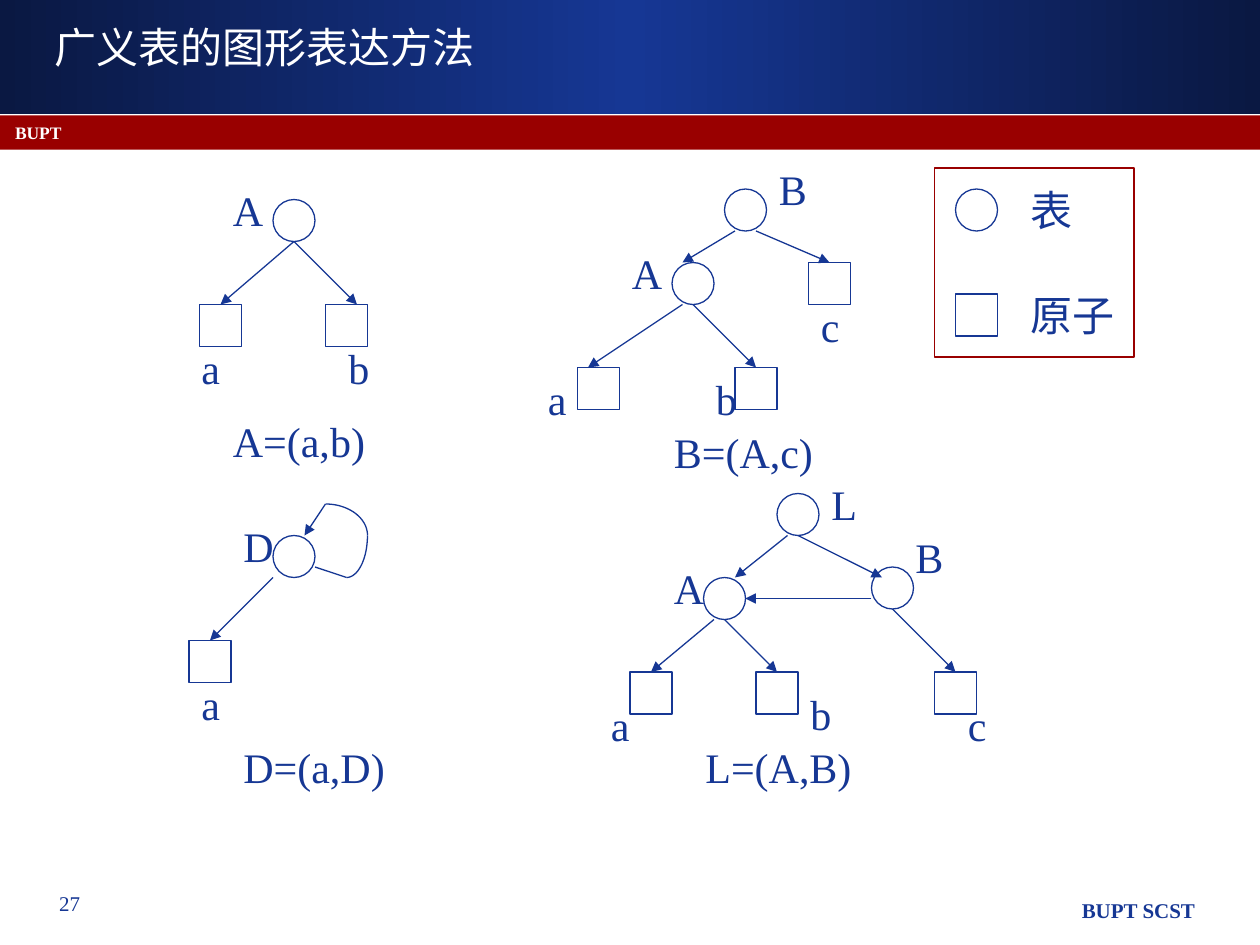
"""Build a slide that draws generalized lists as graphs."""
import copy
import math

from lxml import etree
from pptx import Presentation
from pptx import util as u
from pptx.dml import color
from pptx.enum import shapes, text
from pptx.oxml import ns

PX = 9525
NODE = 32
LABEL_HEIGHT = 48
BLUE, RED, WHITE, NAVY = "163794", "990000", "FFFFFF", "0A1842"
CIRCLE, SQUARE = shapes.MSO_SHAPE.OVAL, shapes.MSO_SHAPE.RECTANGLE

GRAPHS = [
    {
        "circles": [(208, 152)],
        "squares": [(152, 232), (248, 232)],
        "arrows": [(224, 184, 168, 232), (224, 184, 272, 232)],
        "labels": [("A=(a,b)", 168, 312, 224), ("a", 144, 256, 56),
                   ("b", 256, 256, 80), ("A", 168, 136, 72)],
    },
    {
        "circles": [(552, 144), (512, 200)],
        "squares": [(616, 200), (440, 280), (560, 280)],
        "arrows": [(560, 176, 520, 200), (576, 176, 632, 200),
                   (520, 232, 448, 280), (528, 232, 576, 280)],
        "labels": [("B=(A,c)", 504, 320, 184), ("B", 584, 120, 72),
                   ("A", 472, 184, 48), ("a", 408, 280, 40),
                   ("b", 536, 280, 48), ("c", 616, 224, 64)],
    },
    {
        "circles": [(208, 408)],
        "squares": [(144, 488)],
        "arrows": [(208, 440, 160, 488), (248, 384, 232, 408)],
        "labels": [("D=(a,D)", 176, 560, 136), ("a", 144, 512, 32),
                   ("D", 176, 392, 48)],
    },
    {
        "circles": [(592, 376), (536, 440), (664, 432)],
        "squares": [(480, 512), (576, 512), (712, 512)],
        "arrows": [(600, 408, 560, 440), (608, 408, 672, 440),
                   (544, 472, 496, 512), (552, 472, 592, 512),
                   (680, 464, 728, 512), (664, 456, 568, 456)],
        "labels": [("L=(A,B)", 528, 560, 216), ("L", 624, 360, 48),
                   ("A", 504, 424, 64), ("B", 688, 400, 40),
                   ("a", 456, 528, 40), ("b", 608, 520, 48),
                   ("c", 728, 528, 40)],
    },
    {
        "circles": [(728, 144)],
        "squares": [(728, 224)],
        "arrows": [],
        "labels": [("表", 776, 136, 96), ("原子", 776, 216, 104)],
    },
]


def emu(*lengths):
    """Turn px lengths into EMU."""
    return [u.Emu(length * PX) for length in lengths]


def rgb(value):
    """Turn a hex string into a colour."""
    return color.RGBColor.from_string(value)


def outline(item, line_color=BLUE):
    """Give a shape or connector a thin line."""
    item.line.color.rgb = rgb(line_color)
    item.line.width = u.Pt(0.75)


def add_outlined(slide, kind, x, y, width=NODE, height=NODE, line_color=BLUE):
    """Add an unfilled shape with a thin line."""
    shape = slide.shapes.add_shape(kind, *emu(x, y, width, height))
    shape.shadow.inherit = False
    shape.fill.background()
    outline(shape, line_color)
    return shape


def add_band(slide, y, height):
    """Add a full-width band without a line."""
    band = slide.shapes.add_shape(SQUARE, *emu(0, y, 960, height))
    band.shadow.inherit = False
    band.line.fill.background()
    return band


def fill_gradient(band):
    """Fill a band from navy through blue back to navy."""
    band.fill.gradient()
    band.fill.gradient_angle = 0
    first, last = band.fill.gradient_stops
    for stop, place, value in ((first, 0, NAVY), (last, 1, NAVY)):
        stop.position = place
        stop.color.rgb = rgb(value)
    stops = band._element.spPr.find(".//" + ns.qn("a:gsLst"))
    middle = copy.deepcopy(stops[0])
    middle.set("pos", "50000")
    middle[0].set("val", BLUE)
    stops.insert(1, middle)


def add_label(slide, words, x, y, width, height=LABEL_HEIGHT, size=24,
              value=BLUE, bold=False, align=text.PP_ALIGN.LEFT,
              anchor=text.MSO_ANCHOR.TOP):
    """Add a one-paragraph text box."""
    frame = slide.shapes.add_textbox(*emu(x, y, width, height)).text_frame
    paragraph = frame.paragraphs[0]
    paragraph.alignment = align
    run = paragraph.add_run()
    run.text = words
    run.font.color.rgb = rgb(value)
    formats = [
        (frame, {"word_wrap": True, "vertical_anchor": anchor}),
        (run.font, {"name": "Times New Roman", "size": u.Pt(size), "bold": bold}),
    ]
    for target, values in formats:
        for name, setting in values.items():
            setattr(target, name, setting)


def add_edge(slide, ends, square=None, arrow=True):
    """Add a straight edge, joined to the top of a square if given."""
    edge = slide.shapes.add_connector(shapes.MSO_CONNECTOR.STRAIGHT, *emu(*ends))
    outline(edge)
    if square is not None:
        edge.end_connect(square, 0)
    if arrow:
        etree.SubElement(edge.line._get_or_add_ln(), ns.qn("a:tailEnd"), type="triangle")
    etree.SubElement(edge._element.spPr, ns.qn("a:effectLst"))


def add_quarter(slide, center_x, center_y, radius_x, radius_y, steps=24):
    """Add a quarter ellipse from the vertical axis to the right side."""
    angles = [math.pi / 2 * step / steps for step in range(steps + 1)]
    points = [(round((center_x + radius_x * math.sin(angle)) * PX),
               round((center_y - radius_y * math.cos(angle)) * PX))
              for angle in angles]
    builder = slide.shapes.build_freeform(*points[0])
    builder.add_line_segments(points[1:], close=False)
    curve = builder.convert_to_shape()
    curve.shadow.inherit = False
    curve.fill.background()
    outline(curve)


def add_graph(slide, graph):
    """Draw the nodes, edges and labels of one graph."""
    for x, y in graph["circles"]:
        add_outlined(slide, CIRCLE, x, y)
    tops = {(x + NODE // 2, y): add_outlined(slide, SQUARE, x, y)
            for x, y in graph["squares"]}
    for ends in graph["arrows"]:
        add_edge(slide, ends, tops.get(ends[2:]))
    for label in graph["labels"]:
        add_label(slide, *label)


def add_frame(slide):
    """Draw the bands, title and footer."""
    fill_gradient(add_band(slide, 0, 87))
    red_band = add_band(slide, 88, 26)
    red_band.fill.solid()
    red_band.fill.fore_color.rgb = rgb(RED)
    add_label(slide, "BUPT SCST", 404, 679, 516, 34, 12, bold=True,
              align=text.PP_ALIGN.RIGHT)
    add_label(slide, "27", 11, 674, 84, 34, 12, align=text.PP_ALIGN.CENTER)
    add_label(slide, "BUPT", 2, 88, 888, 24, 10, WHITE, bold=True)
    add_label(slide, "广义表的图形表达方法", 32, 16, 888, 40, value=WHITE,
              anchor=text.MSO_ANCHOR.MIDDLE)


def main():
    """Build and save the slide."""
    deck = Presentation()
    deck.slide_width, deck.slide_height = emu(960, 720)
    slide = deck.slides.add_slide(deck.slide_layouts[6])
    add_frame(slide)
    add_outlined(slide, SQUARE, 712, 128, 152, 144, RED)
    for graph in GRAPHS:
        add_graph(slide, graph)
    add_quarter(slide, 248, 408, 32, 24)
    add_quarter(slide, 264, 408, 16, -32)
    add_edge(slide, (240, 432, 264, 440), arrow=False)
    deck.save("out.pptx")


if __name__ == "__main__":
    main()
